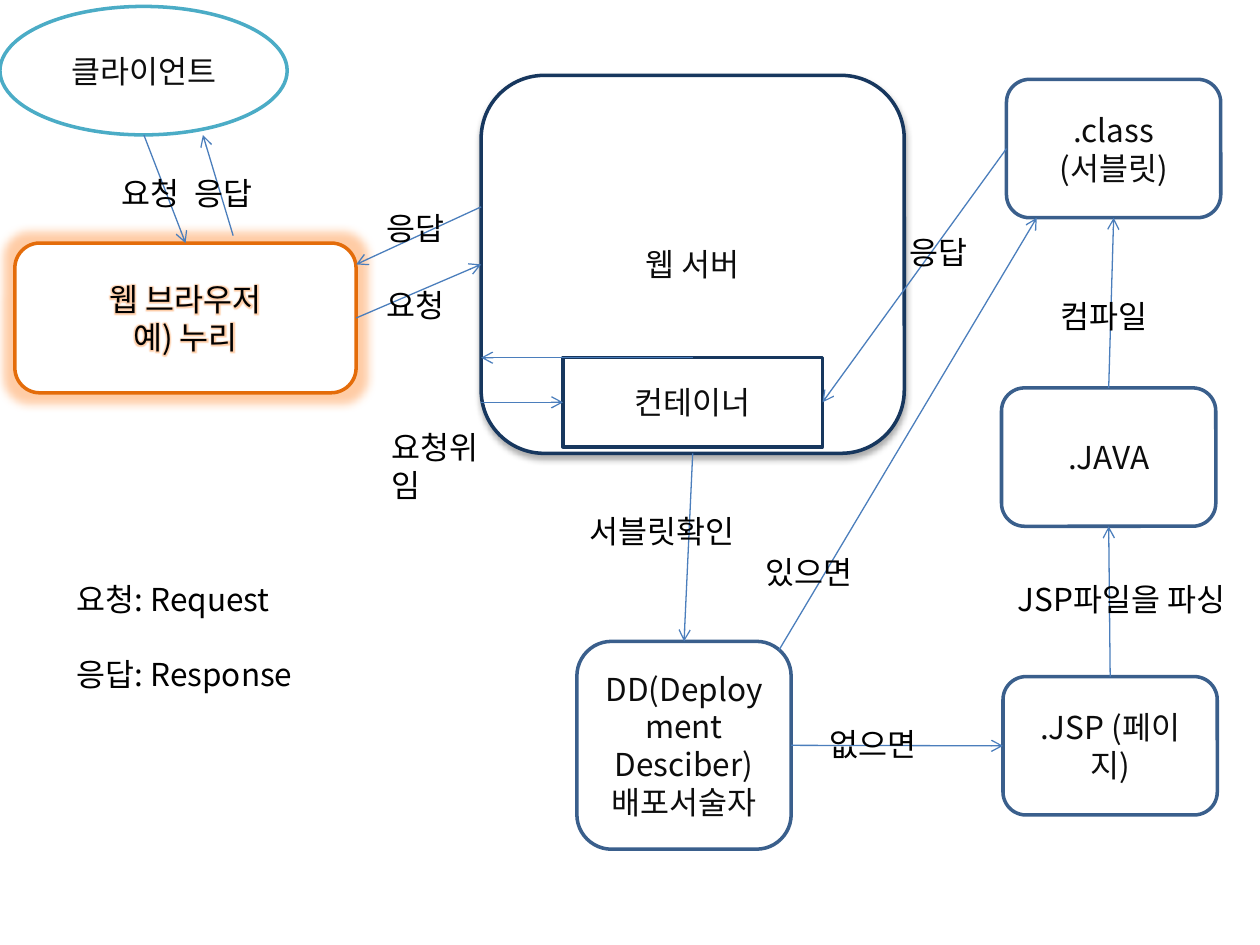
from lxml import etree
from pptx import Presentation
from pptx.dml.color import RGBColor
from pptx.enum.shapes import MSO_CONNECTOR, MSO_SHAPE
from pptx.enum.text import MSO_ANCHOR, MSO_AUTO_SIZE, PP_ALIGN
from pptx.oxml.ns import qn
from pptx.util import Cm, Pt

FONT = "Noto Sans CJK KR"
BLACK = RGBColor(0x00, 0x00, 0x00)
INK = RGBColor(0x0D, 0x0D, 0x0D)
WHITE = RGBColor(0xFF, 0xFF, 0xFF)
ORANGE = RGBColor(0xE4, 0x6C, 0x0A)
NAVY = RGBColor(0x17, 0x37, 0x5E)
TEAL = RGBColor(0x4B, 0xAC, 0xC6)
BLUE = RGBColor(0x3A, 0x5F, 0x8C)
ARROW = RGBColor(0x4B, 0x7E, 0xBC)
GLOW = RGBColor(0xFF, 0x80, 0x20)
ROUND, RECT, OVAL = MSO_SHAPE.ROUNDED_RECTANGLE, MSO_SHAPE.RECTANGLE, MSO_SHAPE.OVAL
STRAIGHT = MSO_CONNECTOR.STRAIGHT
CENTER, LEFT = PP_ALIGN.CENTER, PP_ALIGN.LEFT
MIDDLE = MSO_ANCHOR.MIDDLE
GROW = MSO_AUTO_SIZE.SHAPE_TO_FIT_TEXT
TOP, WEST, BOTTOM, EAST = range(4)

CARD = (4.32, 2.79)
# name: (kind, left, top, width, height, line colour, paragraphs)
NODES = {
    "browser": (ROUND, 0.3, 4.9, 6.88, 3.02, ORANGE, ["웹 브라우저", "예) 누리"]),
    "server": (ROUND, 9.7, 1.52, 8.53, 7.62, NAVY, ["웹 서버"]),
    "container": (RECT, 11.35, 7.21, 5.23, 1.8, NAVY, ["컨테이너"]),
    "client": (OVAL, 0, 0.13, 5.79, 2.59, TEAL, ["클라이언트"]),
    "class": (ROUND, 20.29, 1.6, *CARD, BLUE, [".class", "(서블릿)"]),
    "dd": (ROUND, 11.63, 12.93, 4.32, 4.19, BLUE,
           ["DD(Deployment Desciber) 배포서술자"]),
    "java": (ROUND, 20.19, 7.82, *CARD, BLUE, [".JAVA"]),
    "jsp": (ROUND, 20.22, 13.64, *CARD, BLUE, [".JSP (페이지)"]),
}

# Each end is (node, side) or a free point (x, y)
ARROWS = [
    ((2.9, 2.72), ("browser", TOP)),
    (("browser", EAST), ("server", WEST)),
    ((9.7, 8.11), ("container", WEST)),
    (("server", BOTTOM), ("dd", TOP)),
    (("dd", EAST), ("jsp", WEST)),
    (("jsp", TOP), ("java", BOTTOM)),
    (("java", TOP), ("class", BOTTOM)),
    (("class", WEST), ("container", EAST)),
    ((9.7, 4.17), (7.18, 5.33)),
    ((4.7, 4.75), (4.09, 2.72)),
    ((15.7, 13.11), (20.9, 4.39)),
    (("container", TOP), (9.7, 7.21)),
]

# (left, top, width, paragraphs)
LABELS = [
    (2.21, 3.38, 1.8, ["요청"]),
    (7.54, 5.64, 1.8, ["요청"]),
    (7.65, 8.51, 2.82, ["요청위임"]),
    (11.63, 10.19, 3.71, ["서블릿확인"]),
    (16.48, 14.5, 2.44, ["없으면"]),
    (15.19, 11.02, 2.44, ["있으면"]),
    (20.27, 11.56, 4.9, ["JSP파일을 파싱"]),
    (21.13, 5.87, 2.44, ["컴파일"]),
    (18.08, 4.57, 1.8, ["응답"]),
    (7.54, 4.09, 1.8, ["응답"]),
    (3.68, 3.38, 1.8, ["응답"]),
    (1.3, 11.56, 5.13, ["요청: Request", "응답: Response"]),
]


def add(parent, tag, **attrs):
    return etree.SubElement(parent, qn(tag), {k: str(v) for k, v in attrs.items()})


def effect(parent, tag, color, alpha, **attrs):
    """Add a glow or shadow to an effect list; alpha is in percent."""
    node = add(parent, tag, **attrs)
    add(add(node, "a:srgbClr", val=color), "a:alpha", val=alpha * 1000)


def write(frame, lines, color=BLACK, align=LEFT, gap=0):
    for i, line in enumerate(lines):
        para = frame.paragraphs[0] if i == 0 else frame.add_paragraph()
        para.alignment = align
        if i:
            para.space_before = Pt(gap)
        run = para.add_run()
        run.text = line
        font = run.font
        font.name, font.size = FONT, Pt(18)
        font.color.rgb = color
        latin = run._r.rPr.find(qn("a:latin"))
        latin.addnext(latin.makeelement(qn("a:ea"), {"typeface": FONT}))


def draw_node(slide, kind, left, top, width, height, color, lines):
    shape = slide.shapes.add_shape(kind, Cm(left), Cm(top), Cm(width), Cm(height))
    shape.fill.solid()
    shape.fill.fore_color.rgb = WHITE
    shape.line.color.rgb = color
    shape.line.width = Pt(2)
    shape.shadow.inherit = False
    frame = shape.text_frame
    frame.word_wrap = True
    frame.vertical_anchor = MIDDLE
    write(frame, lines, color=BLACK if color == ORANGE else INK, align=CENTER)
    return shape


def draw_arrow(slide, nodes, start, end):
    free = [(0, 0) if p[0] in nodes else p for p in (start, end)]
    (x1, y1), (x2, y2) = free
    line = slide.shapes.add_connector(STRAIGHT, Cm(x1), Cm(y1), Cm(x2), Cm(y2))
    for point, join in ((start, line.begin_connect), (end, line.end_connect)):
        if point[0] in nodes:
            join(nodes[point[0]], point[1])
    line.line.color.rgb = ARROW
    line.line.width = Pt(0.75)
    props = line._element.spPr
    add(props.find(qn("a:ln")), "a:tailEnd", type="arrow")
    add(props, "a:effectLst")


def draw_label(slide, left, top, width, lines):
    box = slide.shapes.add_textbox(Cm(left), Cm(top), Cm(width), Cm(1.02))
    frame = box.text_frame
    frame.word_wrap = False
    frame.auto_size = GROW
    write(frame, lines, gap=21.6)


def main():
    deck = Presentation()
    deck.slide_width, deck.slide_height = Cm(25.4), Cm(19.05)
    slide = deck.slides.add_slide(deck.slide_layouts[6])
    nodes = {name: draw_node(slide, *node) for name, node in NODES.items()}

    effects = {n: nodes[n]._element.spPr.find(qn("a:effectLst"))
               for n in ("browser", "server")}
    effect(effects["browser"], "a:glow", GLOW, 40, rad=Pt(11))
    effect(effects["server"], "a:outerShdw", BLACK, 32, blurRad=Pt(3.5),
           dist=Pt(2.2), dir=5400000, rotWithShape=0)
    for para in nodes["browser"].text_frame.paragraphs:
        fill = para.runs[0]._r.rPr.find(qn("a:solidFill"))
        glow = fill.makeelement(qn("a:effectLst"), {})
        fill.addnext(glow)
        effect(glow, "a:glow", GLOW, 40, rad=Pt(5))

    for start, end in ARROWS:
        draw_arrow(slide, nodes, start, end)
    for label in LABELS:
        draw_label(slide, *label)
    deck.save("out.pptx")


if __name__ == "__main__":
    main()
